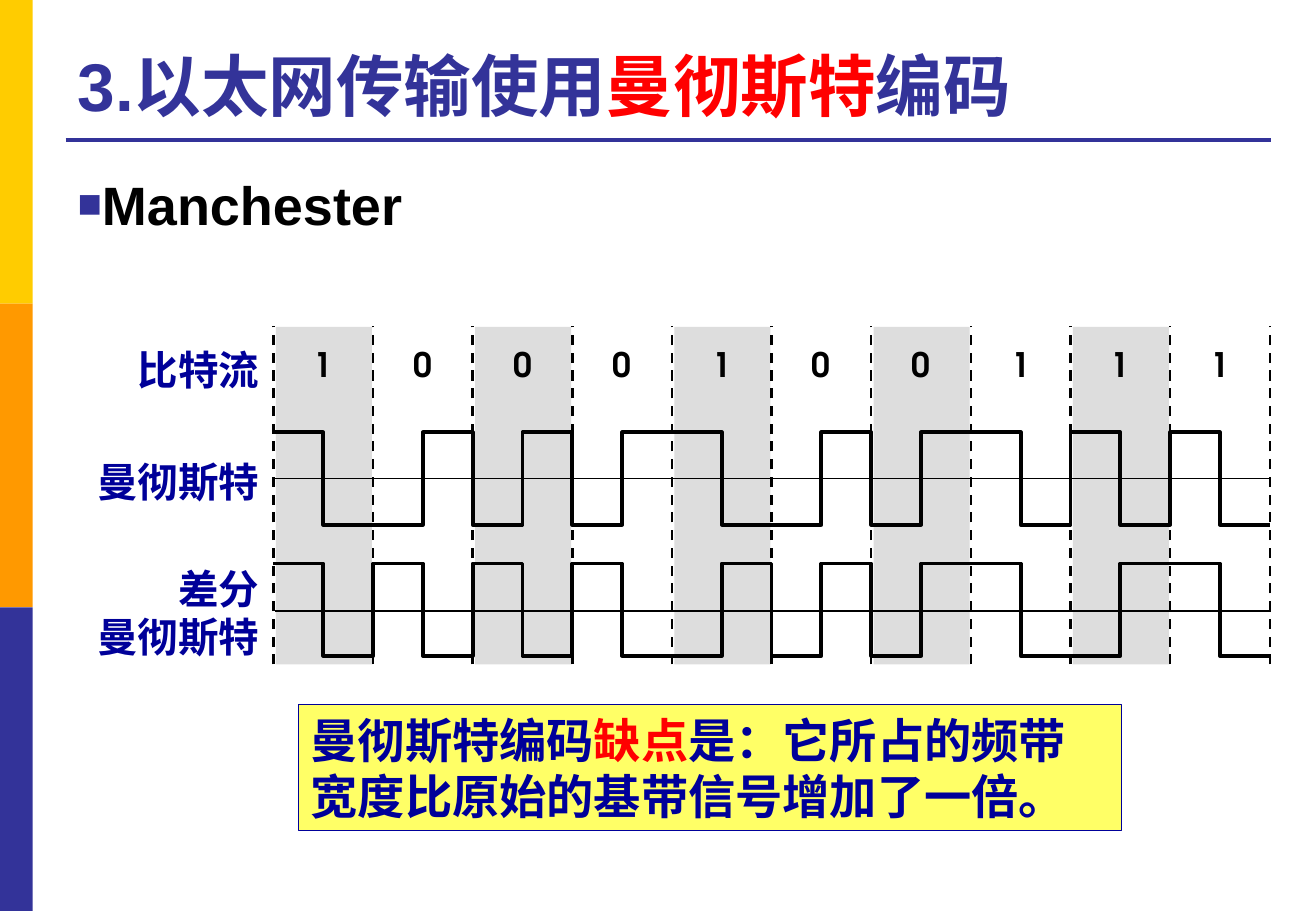
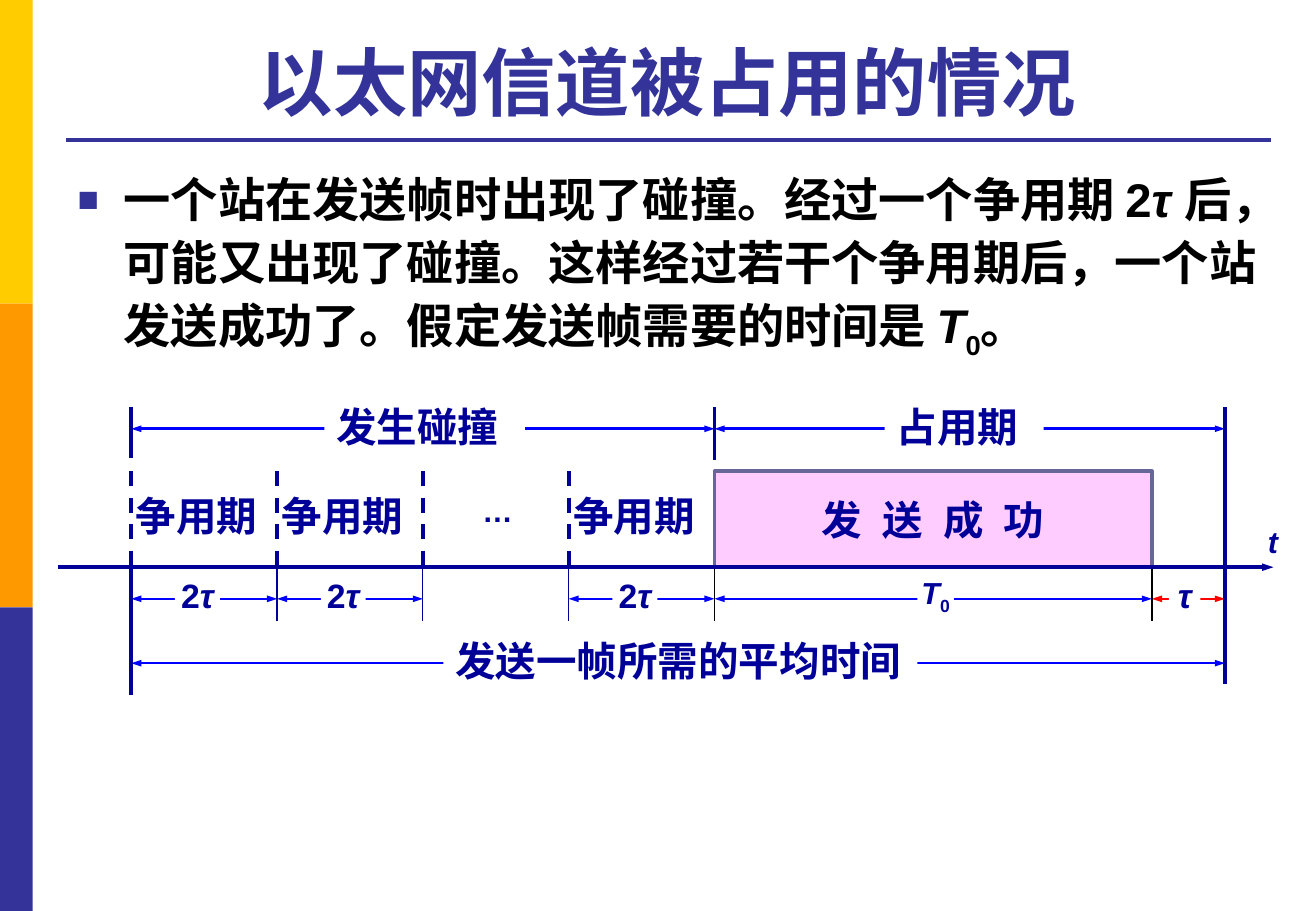
from lxml import etree
from pptx import Presentation
from pptx.dml.color import RGBColor
from pptx.enum.dml import MSO_LINE
from pptx.enum.lang import MSO_LANGUAGE_ID
from pptx.enum.shapes import MSO_CONNECTOR, MSO_SHAPE
from pptx.enum.text import MSO_ANCHOR, PP_ALIGN
from pptx.oxml.ns import qn
from pptx.util import Inches, Pt

STRAIGHT = MSO_CONNECTOR.STRAIGHT
RECTANGLE = MSO_SHAPE.RECTANGLE
DASH = MSO_LINE.DASH
CHINESE = MSO_LANGUAGE_ID.SIMPLIFIED_CHINESE
LEFT, CENTER, RIGHT = PP_ALIGN.LEFT, PP_ALIGN.CENTER, PP_ALIGN.RIGHT
TOP, MIDDLE, BOTTOM = MSO_ANCHOR.TOP, MSO_ANCHOR.MIDDLE, MSO_ANCHOR.BOTTOM

GOLD = RGBColor(0xFF, 0xCC, 0x00)
ORANGE = RGBColor(0xFF, 0x99, 0x00)
INDIGO = RGBColor(0x33, 0x33, 0x99)
NAVY = RGBColor(0x00, 0x00, 0x99)
BLUE = RGBColor(0x00, 0x00, 0xFF)
RED = RGBColor(0xFF, 0x00, 0x00)
BLACK = RGBColor(0x00, 0x00, 0x00)
WHITE = RGBColor(0xFF, 0xFF, 0xFF)
GRAY = RGBColor(0xDD, 0xDD, 0xDD)
YELLOW = RGBColor(0xFF, 0xFF, 0x66)
PINK = RGBColor(0xFF, 0xCC, 0xFF)
SLATE = RGBColor(0x66, 0x66, 0x99)

FONT = "Arial"
DIGIT_FONT = "TeX Gyre Adventor"
TITLE_BOX = (0.54, 0.21, 9.91, 0.87)
BODY_BOX = (0.54, 1.31, 9.91, 5.4)
BAND_COLORS = [GOLD, ORANGE, INDIGO]

# A paragraph is a list of (text, format changes) runs.
ITALIC = {"italic": True}
SUBSCRIPT = {"baseline": -25000}
TWO_TAU = [("2", {}), ("τ", ITALIC)]

ENCODING_TITLE = [("3.以太网传输使用", {}), ("曼彻斯特", {"color": RED}), ("编码", {})]
ENCODING_BODY = [("Manchester", {})]
BITS = "1000100111"
ROW_LABELS = [  # top, height, lines
    (2.79, 0.5, ["比特流"]),
    (3.71, 0.5, ["曼彻斯特"]),
    (4.59, 0.91, ["差分", "曼彻斯特"]),
]
DRAWBACK = [("曼彻斯特编码", {}), ("缺点", {"color": RED}),
            ("是：它所占的频带宽度比原始的基带信号增加了一倍。", {})]

CHANNEL_TITLE = [("以太网信道被占用的情况", {})]
CHANNEL_BODY = [
    ("一个站在发送帧时出现了碰撞。经过一个争用期 2", {}), ("τ ", ITALIC),
    ("后，可能又出现了碰撞。这样经过若干个争用期后，一个站发送成功了。假定发送帧需要的时间是 ", {}),
    ("T", ITALIC), ("0", SUBSCRIPT), ("。", {}),
]
SLOT = 1.2
SLOT_STARTS = [1.08 + SLOT * index for index in range(5)]
START, COLLISION_END = SLOT_STARTS[0], SLOT_STARTS[-1]
SUCCESS_END, OCCUPIED_END = 9.48, 10.08
CONTENTION_SLOTS = [0, 1, 3]
AXIS_Y, TICK_END, SLOT_TOP = 4.67, 5.11, 3.88
LONG_SPANS = [  # from, to, y, label, label left, label width
    (START, COLLISION_END, 3.53, "发生碰撞", 2.67, 1.65),
    (COLLISION_END, OCCUPIED_END, 3.53, "占用期", 7.28, 1.31),
    (START, OCCUPIED_END, 5.46, "发送一帧所需的平均时间", 3.65, 3.9),
]
SHORT_SPANS = [  # from, to, colour, label, text size, label left, label width
    (SLOT_STARTS[slot], SLOT_STARTS[slot] + SLOT, BLUE, TWO_TAU, 20,
     SLOT_STARTS[slot] + 0.36, 0.37)
    for slot in CONTENTION_SLOTS
] + [
    (COLLISION_END, SUCCESS_END, BLUE, [("T", ITALIC), ("0", SUBSCRIPT)], 18, 7.55, 0.3),
    (SUCCESS_END, OCCUPIED_END, RED, [("τ", ITALIC)], 20, 9.62, 0.26),
]
RULES = [  # x, top, bottom, colour, width
    (START, 3.35, 3.77, NAVY, 2.25),
    (START, AXIS_Y, 5.72, NAVY, 2.25),
    (COLLISION_END, 3.35, 3.79, NAVY, 2.25),
    (OCCUPIED_END, 3.35, 5.63, NAVY, 2.25),
    (COLLISION_END, AXIS_Y, TICK_END, BLACK, 0.75),
    (SUCCESS_END, AXIS_Y, TICK_END, BLACK, 0.75),
] + [(x, AXIS_Y, TICK_END, NAVY, 0.75) for x in SLOT_STARTS[1:-1]]


def write(shape, paragraphs, size, color=NAVY, font=FONT, align=LEFT,
          anchor=TOP, inset=0.1, wrap=True):
    frame = shape.text_frame
    frame.word_wrap = wrap
    frame.vertical_anchor = anchor
    frame.margin_left = frame.margin_right = Inches(inset)
    frame.margin_top = frame.margin_bottom = Inches(inset / 2)
    for index, runs in enumerate(paragraphs):
        paragraph = frame.add_paragraph() if index else frame.paragraphs[0]
        paragraph.alignment = align
        for text, changes in runs:
            run = paragraph.add_run()
            run.text = text
            run.font.name = font
            run.font.size = Pt(size)
            run.font.bold = True
            run.font.italic = changes.get("italic", False)
            run.font.color.rgb = changes.get("color", color)
            run.font.language_id = CHINESE
            if "baseline" in changes:
                run.font._element.set("baseline", str(changes["baseline"]))
    return frame


def add_text(slide, box, paragraphs, size, **style):
    shape = slide.shapes.add_textbox(*map(Inches, box))
    return write(shape, paragraphs, size, **style)


def paint(shape, fill=None, line=None, width=0.75):
    shape.shadow.inherit = False
    if fill is None:
        shape.fill.background()
    else:
        shape.fill.solid()
        shape.fill.fore_color.rgb = fill
    if line is None:
        shape.line.fill.background()
    else:
        shape.line.color.rgb = line
        shape.line.width = Pt(width)
    return shape


def add_rectangle(slide, box, fill, line=None):
    return paint(slide.shapes.add_shape(RECTANGLE, *map(Inches, box)), fill, line)


def add_path(slide, points, fill=None, line=BLACK):
    points = [(Inches(x), Inches(y)) for x, y in points]
    builder = slide.shapes.build_freeform(*points[0])
    builder.add_line_segments(points[1:], close=False)
    return paint(builder.convert_to_shape(), fill, line, 2.25)


def add_line(slide, start, end, color, width, dash=None, arrows=()):
    """Draw a line; arrows may hold "headEnd" (at start) and "tailEnd" (at end)."""
    connector = slide.shapes.add_connector(STRAIGHT, *map(Inches, (*start, *end)))
    connector.line.color.rgb = color
    connector.line.width = Pt(width)
    if dash:
        connector.line.dash_style = dash
    properties = connector._element.spPr
    for arrow in arrows:
        etree.SubElement(properties.find(qn("a:ln")), qn("a:" + arrow),
                         type="triangle", w="sm", len="med")
    etree.SubElement(properties, qn("a:effectLst"))


def add_bullet(paragraph, hanging):
    paragraph.line_spacing = 1.1
    paragraph.space_before = Pt(6)
    properties = paragraph._p.get_or_add_pPr()
    properties.set("marL", str(Inches(hanging)))
    properties.set("indent", str(-Inches(hanging)))
    color = etree.SubElement(properties, qn("a:buClr"))
    etree.SubElement(color, qn("a:srgbClr"), val=str(INDIGO))
    etree.SubElement(properties, qn("a:buSzPct"), val="75000")
    etree.SubElement(properties, qn("a:buFont"), typeface=FONT)
    etree.SubElement(properties, qn("a:buChar"), char="■")


def add_base_slide(presentation, title, title_size, title_align, body, body_size, hanging):
    """Add a slide with the side bands, title, title rule and bulleted body."""
    slide = presentation.slides.add_slide(presentation.slide_layouts[6])
    for index, color in enumerate(BAND_COLORS):
        add_rectangle(slide, (0, 2.5 * index, 0.27, 2.5), color)
    add_line(slide, (0.54, 1.15), (10.46, 1.15), INDIGO, 2.25)
    add_text(slide, TITLE_BOX, [title], title_size, color=INDIGO,
             align=title_align, anchor=BOTTOM)
    frame = add_text(slide, BODY_BOX, [body], body_size, color=BLACK)
    add_bullet(frame.paragraphs[0], hanging)
    return slide


def manchester(bits):
    """Return two levels per bit: 1 is high-low, 0 is low-high."""
    return [level for bit in bits for level in ((1, 0) if bit == "1" else (0, 1))]


def differential_manchester(bits):
    """Return two levels per bit: 0 repeats the previous pattern, 1 flips it."""
    levels, first = [], 0
    for bit in bits:
        first = 1 - first if bit == "1" else first
        levels += [first, 1 - first]
    return levels


def wave_points(levels, left, step, high_y, low_y):
    points = []
    for index, level in enumerate(levels):
        y = high_y if level else low_y
        points += [(left + index * step, y), (left + (index + 1) * step, y)]
    return points


def build_encoding_slide(presentation):
    slide = add_base_slide(presentation, ENCODING_TITLE, 40, LEFT, ENCODING_BODY, 32, 0)
    left, cell, top, bottom = 2.25, 0.82, 2.68, 5.47
    for index in range(0, len(BITS), 2):
        add_rectangle(slide, (left + index * cell + 0.02, top + 0.01,
                              cell - 0.03, bottom - top - 0.01), GRAY)
    for index in range(len(BITS) + 1):
        x = left + index * cell
        add_line(slide, (x, bottom), (x, top), BLACK, 1.5, DASH)
    for index, bit in enumerate(BITS):
        add_text(slide, (left + index * cell, 2.78, cell, 0.43), [[(bit, {})]], 20,
                 color=BLACK, font=DIGIT_FONT, align=CENTER)
    for row_top, height, lines in ROW_LABELS:
        add_text(slide, (0.68, row_top, 1.55, height), [[(line, {})] for line in lines],
                 24, align=RIGHT)
    for encode, high_y, middle_y in ((manchester, 3.56, 3.94),
                                     (differential_manchester, 4.64, 5.03)):
        add_path(slide, wave_points(encode(BITS), left, cell / 2, high_y, high_y + 0.76))
        add_line(slide, (2.26, middle_y), (10.46, middle_y), BLACK, 1)
    note = add_rectangle(slide, (2.46, 5.8, 6.77, 1.04), YELLOW, NAVY)
    write(note, [DRAWBACK], 28, anchor=MIDDLE)


def build_channel_slide(presentation):
    slide = add_base_slide(presentation, CHANNEL_TITLE, 44, CENTER, CHANNEL_BODY, 28, 0.38)
    both_ends = ("headEnd", "tailEnd")
    for start, end, y, label, label_left, label_width in LONG_SPANS:
        add_line(slide, (start, y), (end, y), BLUE, 1.5, arrows=both_ends)
        mask = add_rectangle(slide, (label_left, y - 0.27, label_width, 0.5), WHITE)
        write(mask, [[(label, {})]], 24)
    for start, end, color, label, size, label_left, label_width in SHORT_SPANS:
        add_line(slide, (start, 4.93), (end, 4.93), color, 1.5, arrows=both_ends)
        mask = add_rectangle(slide, (label_left, 4.74, label_width, 0.32), WHITE)
        write(mask, [label], size, align=CENTER, anchor=MIDDLE, inset=0, wrap=False)

    success = add_path(slide, [(COLLISION_END, AXIS_Y), (COLLISION_END, SLOT_TOP),
                               (SUCCESS_END, SLOT_TOP), (SUCCESS_END, AXIS_Y)], PINK, SLATE)
    frame = write(success, [[("发 送 成 功", {})]], 24, align=CENTER, anchor=MIDDLE)
    frame.paragraphs[0].runs[0].font._element.set("spc", "330")

    for slot in CONTENTION_SLOTS:
        add_text(slide, (SLOT_STARTS[slot] - 0.06, 3.99, 1.31, 0.5), [[("争用期", {})]], 24)
    add_text(slide, (3.87, 4, 0.45, 0.4), [[("…", {})]], 18, align=CENTER)
    add_text(slide, (10.33, 4.26, 0.29, 0.4), [[("t", ITALIC)]], 18, align=CENTER)
    for x in SLOT_STARTS[:-1]:
        add_line(slide, (x, SLOT_TOP), (x, AXIS_Y), NAVY, 2.25, DASH)
    for x, top, bottom, color, width in RULES:
        add_line(slide, (x, top), (x, bottom), color, width)
    add_line(slide, (0.48, AXIS_Y), (10.48, AXIS_Y), NAVY, 2.25, arrows=("tailEnd",))


def main():
    presentation = Presentation()
    presentation.slide_width = Inches(10.83)
    presentation.slide_height = Inches(7.5)
    build_encoding_slide(presentation)
    build_channel_slide(presentation)
    presentation.save("out.pptx")


if __name__ == "__main__":
    main()
